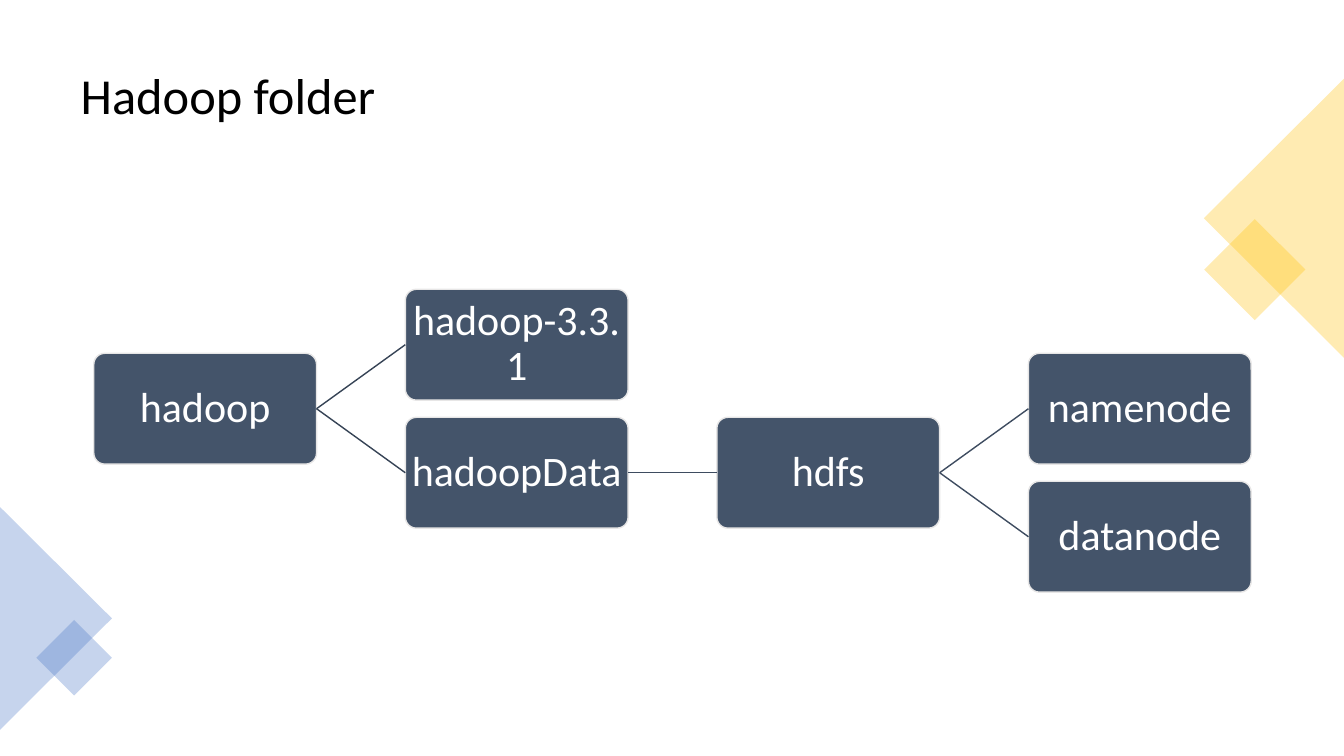
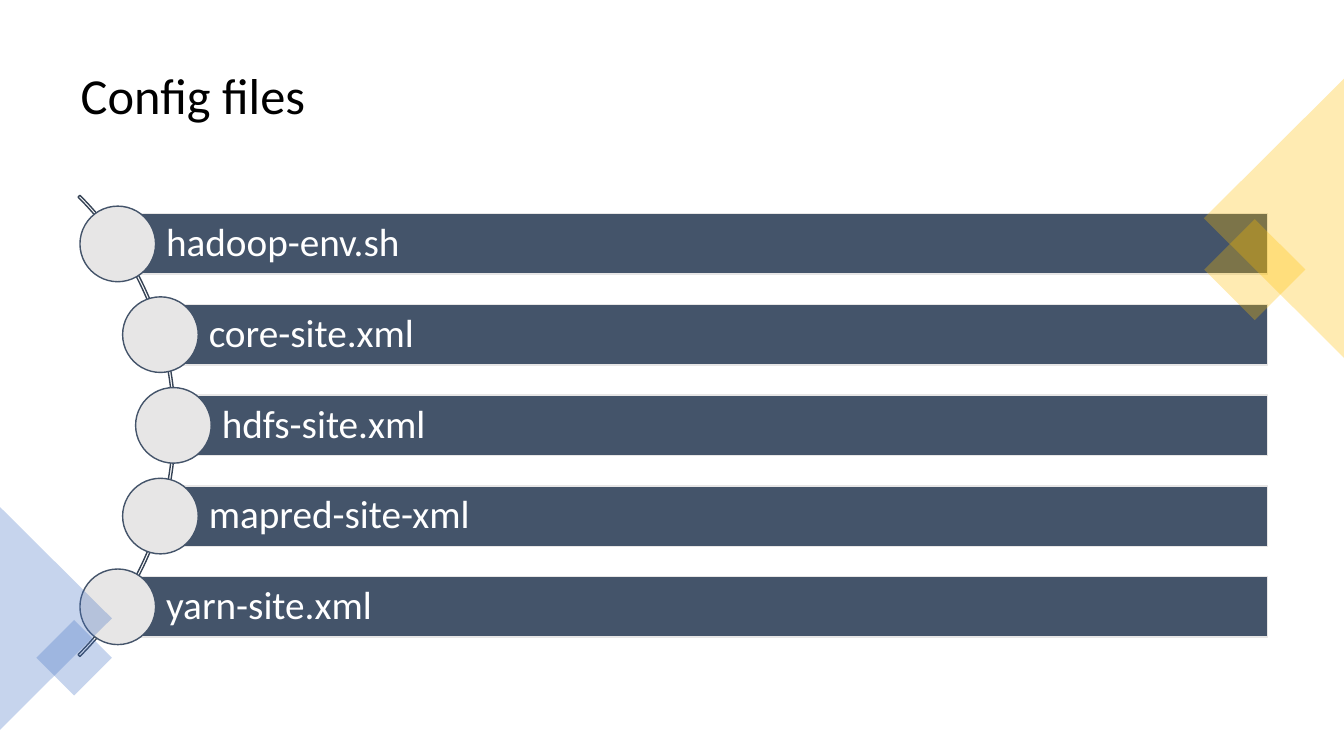
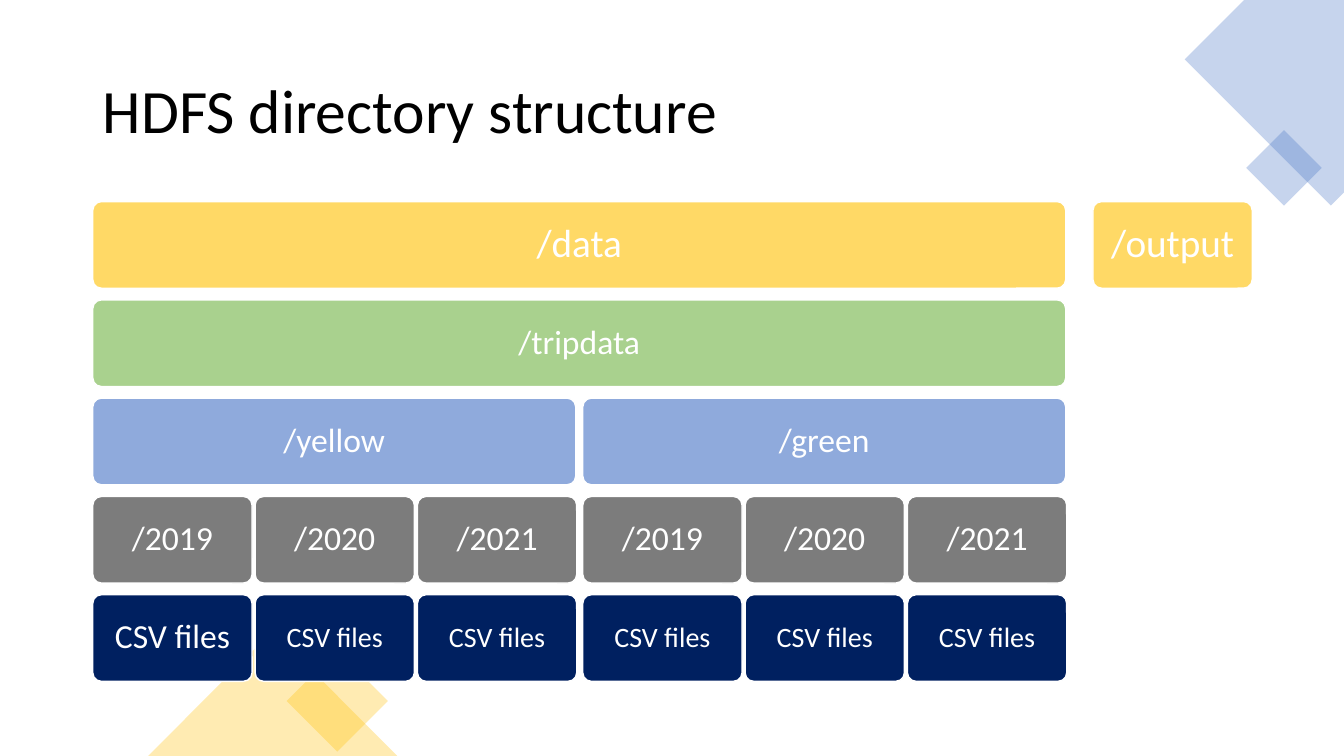
from math import sqrt

from pptx import Presentation
from pptx.dml.color import RGBColor
from pptx.enum.shapes import MSO_CONNECTOR, MSO_SHAPE as Shape
from pptx.enum.text import MSO_ANCHOR, MSO_AUTO_SIZE, PP_ALIGN as Align
from pptx.oxml.ns import qn
from pptx.util import Inches, Pt
from lxml.etree import SubElement

FONT = "Calibri"
BLACK = RGBColor(0x00, 0x00, 0x00)
WHITE = RGBColor(0xFF, 0xFF, 0xFF)
SLATE = RGBColor(0x44, 0x54, 0x6A)
DARK_SLATE = RGBColor(0x36, 0x43, 0x55)
MID_SLATE = RGBColor(0x3E, 0x4C, 0x60)
PALE = RGBColor(0xE7, 0xE6, 0xE6)
AMBER = RGBColor(0xFF, 0xC0, 0x00)
BLUE = RGBColor(0x44, 0x72, 0xC4)
YELLOW = RGBColor(0xFF, 0xD9, 0x66)
GREEN = RGBColor(0xA9, 0xD1, 0x8E)
SKY = RGBColor(0x8F, 0xAA, 0xDC)
GREY = RGBColor(0x7C, 0x7C, 0x7C)
NAVY = RGBColor(0x00, 0x20, 0x60)


class SlideMaker:
    """Holds the deck, its style and the current slide."""

    def __init__(self):
        self.deck = Presentation()
        self.deck.slide_width = Inches(13.33)
        self.deck.slide_height = Inches(7.5)
        self.page = None

    def new_page(self, title, at=(0.7, 0.35, 11.93, 1.24), size=36):
        self.page = self.deck.slides.add_slide(self.deck.slide_layouts[5])
        box = self.page.shapes.title
        box.left, box.top, box.width, box.height = map(Inches, at)
        self.add_text(box, title, size, BLACK, Align.LEFT)

    def add_text(self, box, text, size, color=WHITE, align=Align.CENTER):
        frame = box.text_frame
        frame.word_wrap = True
        frame.auto_size = MSO_AUTO_SIZE.NONE
        frame.vertical_anchor = MSO_ANCHOR.MIDDLE
        para = frame.paragraphs[0]
        para.alignment = align
        para.line_spacing = 0.9
        span = para.add_run()
        span.text = text
        span.font.name = FONT
        span.font.size = Pt(size)
        span.font.color.rgb = color

    def paint(self, box, fill, line):
        box.shadow.inherit = False
        if fill is None:
            box.fill.background()
        else:
            box.fill.solid()
            box.fill.fore_color.rgb = fill
        if line is None:
            box.line.fill.background()
        else:
            box.line.color.rgb = line
            box.line.width = Pt(1)

    def shape(self, kind, left, top, width, height, fill=None, line=None):
        box = self.page.shapes.add_shape(kind, *map(Inches, (left, top, width, height)))
        self.paint(box, fill, line)
        return box

    def set_margins(self, box, margin, left=None):
        frame = box.text_frame
        frame.margin_top = frame.margin_right = frame.margin_bottom = Inches(margin)
        frame.margin_left = Inches(margin if left is None else left)

    def card(self, text, left, top, width, height, fill, line, size, margin):
        box = self.shape(Shape.ROUNDED_RECTANGLE, left, top, width, height, fill, line)
        box.adjustments[0] = 0.1
        self.set_margins(box, margin)
        self.add_text(box, text, size)
        return box

    def link(self, parent, child, color):
        line = self.page.shapes.add_connector(MSO_CONNECTOR.STRAIGHT, 0, 0, 0, 0)
        line.begin_connect(parent, 3)
        line.end_connect(child, 1)
        line.line.color.rgb = color
        line.line.width = Pt(1)
        SubElement(line.element.spPr, qn("a:effectLst"))

    def make_translucent(self, box):
        color = box.element.xpath("./p:spPr/a:solidFill/a:srgbClr")[0]
        SubElement(color, qn("a:alpha")).set("val", "30000")

    def accent(self, kind, left, top, width, height, color, rotation=0):
        box = self.shape(kind, left, top, width, height, color)
        box.rotation = rotation
        self.make_translucent(box)

    def accent_outline(self, points, color):
        start, *others = [(Inches(x), Inches(y)) for x, y in points]
        builder = self.page.shapes.build_freeform(*start)
        builder.add_line_segments(others, close=True)
        box = builder.convert_to_shape()
        self.paint(box, color, None)
        self.make_translucent(box)

    def side_accents(self):
        self.accent(Shape.RECTANGLE, 12.09, 2.32, 0.71, 0.71, AMBER, 45)
        self.accent(Shape.ISOSCELES_TRIANGLE, 11.25, 1.47, 2.77, 1.39, AMBER, 270)
        self.accent(Shape.ISOSCELES_TRIANGLE, -0.55, 5.58, 2.21, 1.11, BLUE, 90)
        self.accent(Shape.RECTANGLE, 0.47, 6.26, 0.53, 0.53, BLUE, 45)


def folder_tree(maker):
    maker.new_page("Hadoop folder")
    # Folder name, column, row
    folders = [
        ("hadoop", 0, 0.5),
        ("hadoop-3.3.1", 1, 0),
        ("hadoopData", 1, 1),
        ("hdfs", 2, 1),
        ("namenode", 3, 0.5),
        ("datanode", 3, 1.5),
    ]
    cards = {
        name: maker.card(name, 0.93 + 3.09 * column, 2.87 + 1.27 * row,
                         2.21, 1.1, SLATE, PALE, 30, 0.02)
        for name, column, row in folders
    }
    links = [
        ("hadoop", "hadoop-3.3.1", DARK_SLATE),
        ("hadoop", "hadoopData", DARK_SLATE),
        ("hadoopData", "hdfs", MID_SLATE),
        ("hdfs", "namenode", MID_SLATE),
        ("hdfs", "datanode", MID_SLATE),
    ]
    for parent, child, color in links:
        maker.link(cards[parent], cards[child], color)
    maker.side_accents()


def config_files(maker):
    maker.new_page("Config files")
    # Thin arc that carries the markers
    arc = maker.shape(Shape.BLOCK_ARC, -4.73, 0.99, 6.47, 6.47, line=DARK_SLATE)
    for index, value in enumerate((189, 27, 0.004)):
        arc.adjustments[index] = value
    # Bars and markers, spread evenly along the arc
    center_x, center_y, radius, pitch = -1.49, 4.22, 3.21, 0.9
    bar_right, bar_height, marker = 12.57, 0.6, 0.75
    names = ["hadoop-env.sh", "core-site.xml", "hdfs-site.xml",
             "mapred-site-xml", "yarn-site.xml"]
    for index, name in enumerate(names):
        offset = (index - 2) * pitch
        x = center_x + sqrt(radius ** 2 - offset ** 2)
        y = center_y + offset
        bar = maker.shape(Shape.RECTANGLE, x, y - bar_height / 2,
                          bar_right - x, bar_height, SLATE, PALE)
        maker.set_margins(bar, 0.08, left=0.48)
        maker.add_text(bar, name, 28, align=Align.LEFT)
        maker.shape(Shape.OVAL, x - marker / 2, y - marker / 2,
                    marker, marker, PALE, SLATE)
    maker.side_accents()


def directory_structure(maker):
    maker.new_page("HDFS directory structure", (0.92, 0.4, 11.5, 1.45), 44)
    # Corner and bottom accents
    maker.accent_outline([(13.33, 0), (12.34, 0), (11.75, 0.59),
                          (13.2, 2.04), (13.33, 1.91)], BLUE)
    maker.accent(Shape.RECTANGLE, 12.47, 1.4, 0.53, 0.53, BLUE, 315)
    maker.accent(Shape.RECTANGLE, 2.99, 6.6, 0.71, 0.71, AMBER, 45)
    maker.accent(Shape.ISOSCELES_TRIANGLE, 1.47, 6.26, 2.47, 1.24, AMBER)

    # Directory levels
    left, full, half, narrow = 0.92, 9.65, 4.79, 1.58
    half_pitch, narrow_pitch = 4.86, 1.61

    def directory(text, x, level, width, fill, size=24):
        maker.card(text, x, 2 + 3.9 * level / 4, width, 0.86,
                   fill, WHITE, size, size / 240)

    directory("/data", left, 0, full, YELLOW, 28)
    directory("/output", 10.84, 0, narrow, YELLOW, 28)
    directory("/tripdata", left, 1, full, GREEN)
    for group, name in enumerate(("/yellow", "/green")):
        group_left = left + half_pitch * group
        directory(name, group_left, 2, half, SKY)
        for column, year in enumerate(("/2019", "/2020", "/2021")):
            x = group_left + narrow_pitch * column
            directory(year, x, 3, narrow, GREY)
            directory("CSV files", x, 4, narrow, NAVY, 24 if x == left else 20)


def main():
    maker = SlideMaker()
    folder_tree(maker)
    config_files(maker)
    directory_structure(maker)
    maker.deck.save("out.pptx")


if __name__ == "__main__":
    main()
